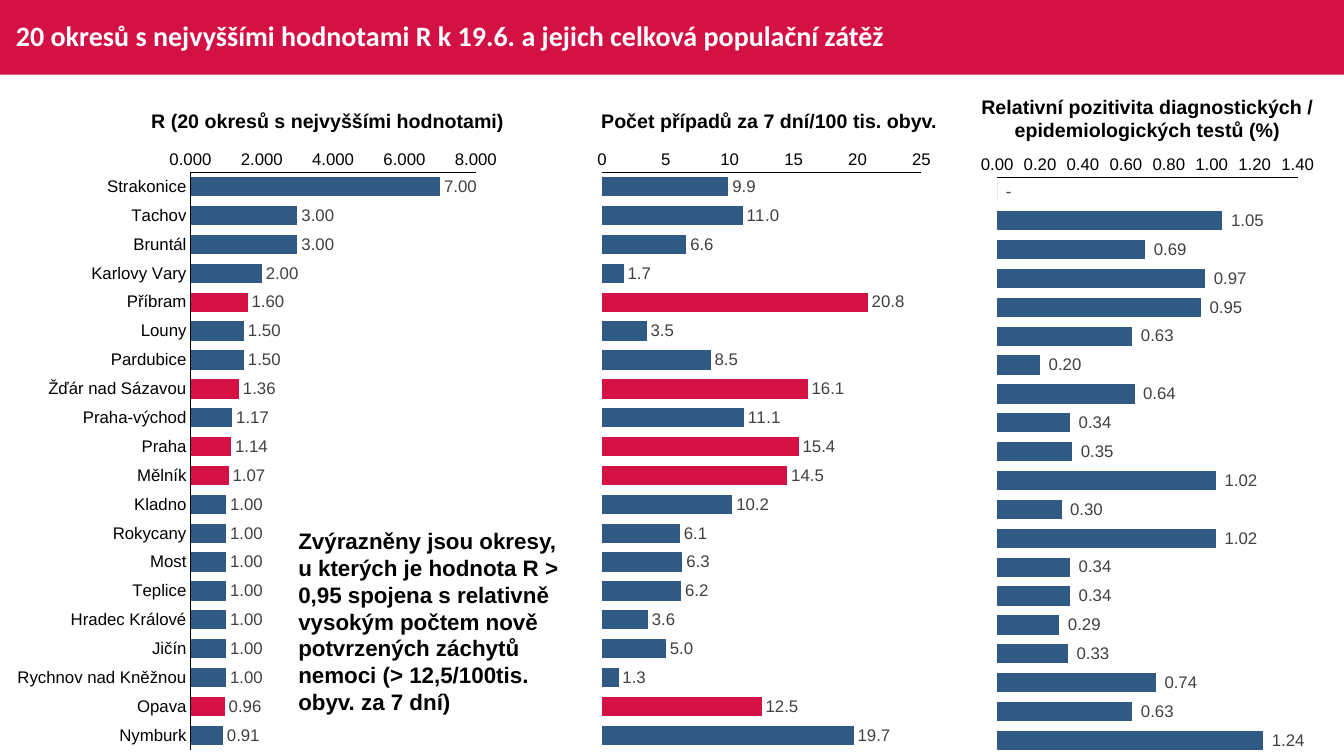
from dataclasses import dataclass
from pptx import Presentation
from pptx.chart.data import CategoryChartData
from pptx.dml.color import RGBColor
from pptx.enum.chart import XL_CHART_TYPE, XL_LABEL_POSITION, XL_TICK_MARK
from pptx.enum.shapes import MSO_SHAPE
from pptx.enum.text import MSO_ANCHOR, MSO_AUTO_SIZE, PP_ALIGN
from pptx.oxml import parse_xml
from pptx.oxml.ns import nsdecls
from pptx.util import Pt

BARS = XL_CHART_TYPE.BAR_CLUSTERED
OUTER = XL_LABEL_POSITION.OUTSIDE_END
NO_TICK = XL_TICK_MARK.NONE
RECT = MSO_SHAPE.RECTANGLE
TOP, MIDDLE = MSO_ANCHOR.TOP, MSO_ANCHOR.MIDDLE
GROW, FIXED = MSO_AUTO_SIZE.SHAPE_TO_FIT_TEXT, MSO_AUTO_SIZE.NONE
LEFT, CENTER = PP_ALIGN.LEFT, PP_ALIGN.CENTER
PX = 9144


@dataclass(frozen=True)
class Theme:
    """Colours, fonts and type sizes of the slide."""
    red: str = "D31145"
    blue: str = "305983"
    white: str = "FFFFFF"
    black: str = "000000"
    grey: str = "404040"
    head: str = "Calibri"
    body: str = "Arial"
    title: int = 20
    note: int = 16
    label: int = 14
    tick: int = 12
    base: int = 10


THEME = Theme()

TOWNS = ["Strakonice", "Tachov", "Bruntál", "Karlovy Vary", "Příbram", "Louny",
         "Pardubice", "Žďár nad Sázavou", "Praha-východ", "Praha", "Mělník",
         "Kladno", "Rokycany", "Most", "Teplice", "Hradec Králové", "Jičín",
         "Rychnov nad Kněžnou", "Opava", "Nymburk"]
RANKS = [str(rank + 1) for rank in range(len(TOWNS))]
MARKED = [TOWNS.index(town) for town in
          ("Příbram", "Žďár nad Sázavou", "Praha", "Mělník", "Opava")]

PANELS = [
    dict(text="R (20 okresů s nejvyššími hodnotami)", head=(137, 103, 376, 34),
         wrap=False, box=(8, 137, 494, 619), plot=(181, 34, 283, 573),
         names=TOWNS, marks=MARKED, top=8, step=2, scale="0.000",
         label="#,##0.00",
         vals=[7, 3, 3, 2, 1.6, 1.5, 1.5, 1.36, 1.17, 1.14, 1.07,
               1, 1, 1, 1, 1, 1, 1, 0.96, 0.91]),
    dict(text="Počet případů za 7 dní/100 tis. obyv.", head=(586, 103, 354, 34),
         wrap=False, box=(586, 137, 344, 619), plot=(11, 34, 317, 573),
         names=RANKS, marks=MARKED, top=25, step=5, scale="General",
         label="#,##0.0",
         vals=[9.9, 11, 6.6, 1.7, 20.8, 3.5, 8.5, 16.1, 11.1, 15.4, 14.5,
               10.2, 6.1, 6.3, 6.2, 3.6, 5, 1.3, 12.5, 19.7]),
    dict(text="Relativní pozitivita diagnostických / epidemiologických testů (%)",
         head=(950, 89, 376, 57), wrap=True, box=(966, 142, 344, 619),
         plot=(23, 34, 298, 573), names=RANKS, marks=[], top=1.4, step=0.2,
         scale="#,##0.00",
         label='_(* #,##0.00_);_(* \\(#,##0.00\\);_(* "-"??_);_(@_)',
         vals=[0, 1.05, 0.69, 0.97, 0.95, 0.63, 0.2, 0.64, 0.34, 0.35, 1.02,
               0.3, 1.02, 0.34, 0.34, 0.29, 0.33, 0.74, 0.63, 1.24]),
]

NOTE = ["Zvýrazněny jsou okresy,",
        "u kterých je hodnota R > 0,95 spojena s relativně vysokým počtem nově "
        "potvrzených záchytů nemoci (> 12,5/100tis. obyv. za 7 dní)"]


def emu(box):
    """Turn a box in px into EMU."""
    return [side * PX for side in box]


def put(item, **vals):
    """Set each given attribute of an item."""
    for name, val in vals.items():
        setattr(item, name, val)


def paint(fill, tone):
    """Give a fill one solid colour."""
    fill.solid()
    fill.fore_color.rgb = RGBColor.from_string(tone)


def style(font, size, tone, face=THEME.body, bold=False):
    """Set face, size, weight and colour of a font."""
    put(font, name=face, size=Pt(size), bold=bold)
    font.color.rgb = RGBColor.from_string(tone)


def write(slide, box, lines, size, tone=THEME.black, face=THEME.body,
          align=LEFT, wrap=True, anchor=TOP, fit=GROW, pitch=None):
    """Place bold paragraphs in a text box."""
    frame = slide.shapes.add_textbox(*emu(box)).text_frame
    put(frame, word_wrap=wrap, vertical_anchor=anchor, auto_size=fit)
    frame.text = "\n".join(lines)
    for para in frame.paragraphs:
        put(para, alignment=align, line_spacing=pitch)
        style(para.runs[0].font, size, tone, face, True)


def banner(slide, box, text):
    """Draw the red band with the slide title."""
    band = slide.shapes.add_shape(RECT, *emu(box))
    band.shadow.inherit = False
    paint(band.fill, THEME.red)
    band.line.fill.background()
    left, top, _, height = box
    write(slide, (left + 6, top, 1201, height), [text], THEME.title,
          THEME.white, THEME.head, anchor=MIDDLE, fit=FIXED, pitch=0.9)


def set_plot(chart, box, plot):
    """Fix the inner plot area inside the chart box."""
    sides = zip("xywh", plot, box[2:] * 2)
    rates = "".join(f'<c:{key} val="{part / whole:.4f}"/>'
                    for key, part, whole in sides)
    area = chart.element.xpath("c:chart/c:plotArea")[0]
    for old in area.xpath("c:layout"):
        area.remove(old)
    area.insert(0, parse_xml(
        f'<c:layout {nsdecls("c")}><c:manualLayout>'
        '<c:layoutTarget val="inner"/><c:xMode val="edge"/>'
        f'<c:yMode val="edge"/>{rates}</c:manualLayout></c:layout>'))


def set_axes(chart, panel):
    """Format the district axis and the value axis."""
    for axis in (chart.category_axis, chart.value_axis):
        put(axis, major_tick_mark=NO_TICK, minor_tick_mark=NO_TICK,
            has_major_gridlines=False)
        style(axis.tick_labels.font, THEME.tick, THEME.black)
        paint(axis.format.line.fill, THEME.black)
        axis.format.line.width = Pt(0.75)
    put(chart.category_axis, reverse_order=True,
        visible=panel["names"] is TOWNS)
    put(chart.value_axis, minimum_scale=0, maximum_scale=panel["top"],
        major_unit=panel["step"])
    put(chart.value_axis.tick_labels, number_format=panel["scale"],
        number_format_is_linked=False)


def set_bars(chart, panel):
    """Colour the bars and format their labels."""
    plot = chart.plots[0]
    put(plot, gap_width=50, vary_by_categories=False, has_data_labels=True)
    put(plot.data_labels, show_value=True, position=OUTER,
        number_format=panel["label"], number_format_is_linked=False)
    style(plot.data_labels.font, THEME.tick, THEME.grey)
    bars = plot.series[0]
    bars.invert_if_negative = False
    paint(bars.format.fill, THEME.blue)
    for mark in panel["marks"]:
        paint(bars.points[mark].format.fill, THEME.red)


def draw_panel(slide, panel):
    """Place one bar chart and its heading."""
    data = CategoryChartData()
    data.categories = panel["names"]
    data.add_series("Series 1", panel["vals"])
    chart = slide.shapes.add_chart(BARS, *emu(panel["box"]), data).chart
    put(chart, has_title=False, has_legend=False)
    style(chart.font, THEME.base, THEME.black)
    set_plot(chart, panel["box"], panel["plot"])
    set_axes(chart, panel)
    set_bars(chart, panel)
    write(slide, panel["head"], [panel["text"]], THEME.label,
          align=CENTER, wrap=panel["wrap"])


def main():
    """Build and save the slide."""
    deck = Presentation()
    put(deck, slide_width=1333 * PX, slide_height=750 * PX)
    slide = deck.slides.add_slide(deck.slide_layouts[6])
    banner(slide, (0, 0, 1333, 74), "20 okresů s nejvyššími hodnotami R k 19.6. "
           "a jejich celková populační zátěž")
    for panel in PANELS:
        draw_panel(slide, panel)
    write(slide, (286, 518, 305, 199), NOTE, THEME.note)
    deck.save("out.pptx")


if __name__ == "__main__":
    main()
